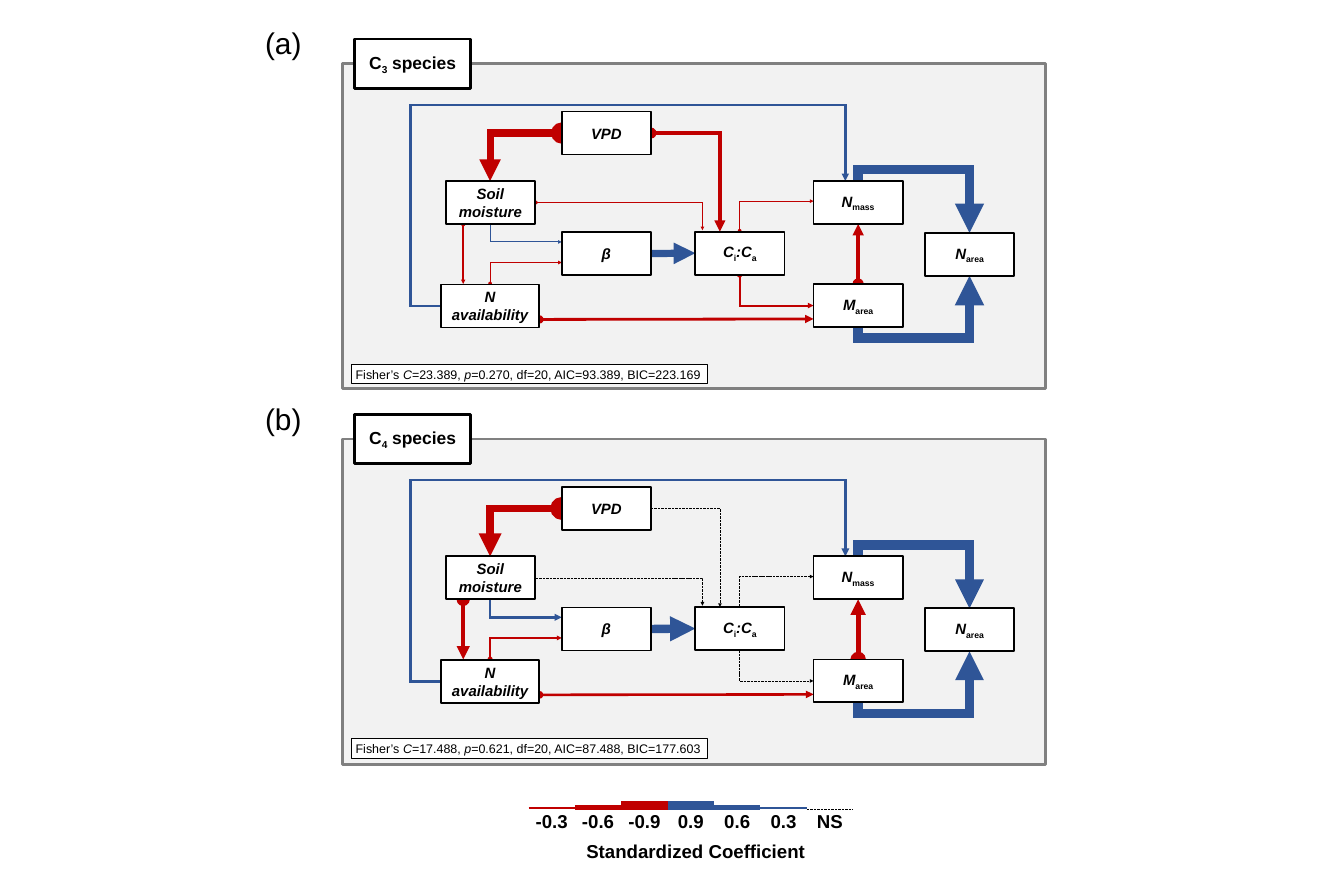
from pptx import Presentation
from pptx import util as u
from pptx.dml.color import RGBColor
from pptx.enum import dml, shapes, text
from pptx.oxml.ns import qn
from lxml import etree

BLACK = RGBColor(0x00, 0x00, 0x00)
WHITE = RGBColor(0xFF, 0xFF, 0xFF)
PANEL = RGBColor(0xF2, 0xF2, 0xF2)
GRAY = RGBColor(0x80, 0x80, 0x80)
RED = RGBColor(0xC0, 0x00, 0x00)
BLUE = RGBColor(0x2F, 0x55, 0x97)
PX = 9144  # 100 px to the inch
TOP, LEFT, BOTTOM, RIGHT = range(4)


class CausalDiagram:
    """Holds the style and the current slide."""

    font = "Arial"

    def __init__(self, width, height):
        self.deck = Presentation()
        self.deck.slide_width, self.deck.slide_height = width * PX, height * PX
        self.page = self.deck.slides.add_slide(self.deck.slide_layouts[6])

    def add_words(self, shape, spans, size, align, **frame_format):
        """Each span is (words, flags): b bold, i italic, _ subscript."""
        frame = shape.text_frame
        for name, value in frame_format.items():
            setattr(frame, name, value)
        para = frame.paragraphs[0]
        para.alignment = align
        for words, flags in spans:
            span = para.add_run()
            span.text = words
            font_format = {"name": self.font, "size": u.Pt(size),
                           "bold": "b" in flags, "italic": "i" in flags}
            for name, value in font_format.items():
                setattr(span.font, name, value)
            span.font.color.rgb = BLACK
            if "_" in flags:
                span.font._element.set("baseline", "-25000")

    def box(self, place, weight, spans=(), size=24, fill=WHITE, line=BLACK,
            align=text.PP_ALIGN.CENTER, wrap=True):
        box = self.page.shapes.add_shape(
            shapes.MSO_SHAPE.RECTANGLE, *(v * PX for v in place))
        box.shadow.inherit = False
        box.fill.solid()
        box.fill.fore_color.rgb = fill
        box.line.color.rgb = line
        box.line.width = u.Pt(weight)
        self.add_words(box, spans, size, align, word_wrap=wrap,
                       vertical_anchor=text.MSO_ANCHOR.MIDDLE)
        return box

    def label(self, place, words, size, flags=""):
        label = self.page.shapes.add_textbox(*(v * PX for v in place))
        self.add_words(label, [(words, flags)], size, text.PP_ALIGN.CENTER,
                       word_wrap=False)

    def style_line(self, line, colour, weight, dashed, head, tail):
        line.line.color.rgb = colour
        line.line.width = u.Pt(weight)
        if dashed:
            line.line.dash_style = dml.MSO_LINE.LONG_DASH
        ln = line.line._get_or_add_ln()
        etree.SubElement(ln, qn("a:miter"), lim="800000")
        for tag, kind in (("a:headEnd", head), ("a:tailEnd", tail)):
            if kind:
                etree.SubElement(ln, qn(tag), type=kind)
        etree.SubElement(line._element.spPr, qn("a:effectLst"))

    def straight(self, begin, end, colour, weight, dashed=False, head=None,
                 tail=None, joins=None):
        line = self.page.shapes.add_connector(
            shapes.MSO_CONNECTOR.STRAIGHT, *(v * PX for v in begin + end))
        if joins:
            line.begin_connect(*joins[0])
            line.end_connect(*joins[1])
        self.style_line(line, colour, weight, dashed, head, tail)

    def elbow(self, begin, end, upright, bends, *style):
        """An upright elbow leaves its begin point vertically, to the right."""
        (x1, y1), (x2, y2) = begin, end
        line = self.page.shapes.add_connector(
            shapes.MSO_CONNECTOR.ELBOW, *(v * PX for v in begin + end))
        if upright:
            wide, high = abs(y2 - y1), abs(x2 - x1)
            place = {"left": (x1 + x2 - wide) * PX // 2,
                     "top": (y1 + y2 - high) * PX // 2,
                     "width": wide * PX, "height": high * PX}
            for name, value in place.items():
                setattr(line, name, value)
            falls = y2 > y1
            turn = {"rot": str((270 if falls else 90) * 60000),
                    "flipH": "1", "flipV": "0" if falls else "1"}
            for name, value in turn.items():
                line._element.spPr.xfrm.set(name, value)
        shape = line._element.spPr.find(qn("a:prstGeom"))
        shape.set("prst", f"bentConnector{len(bends) + 2}")
        guides = shape.find(qn("a:avLst"))
        for number, bend in enumerate(bends, 1):
            etree.SubElement(guides, qn("a:gd"), name=f"adj{number}",
                             fmla=f"val {round(bend * 100000)}")
        self.style_line(line, *style)

    def raise_up(self, box):
        self.page.shapes._spTree.append(box._element)


# Boxes of one panel: left, top, width, spans
BOXES = {
    "vpd": (1254, 249, 199, [("VPD", "bi")]),
    "soil": (995, 404, 199, [("Soil moisture", "bi")]),
    "nitrogen": (984, 635, 220, [("N availability", "bi")]),
    "beta": (1254, 518, 199, [("β", "bi")]),
    "ratio": (1552, 517, 199, [("C", "bi"), ("i", "b_"), (":C", "bi"), ("a", "b_")]),
    "n_mass": (1816, 404, 199, [("N", "bi"), ("mass", "b_")]),
    "m_area": (1816, 634, 199, [("M", "bi"), ("area", "b_")]),
    "n_area": (2065, 520, 199, [("Ν", "bi"), ("area", "b_")]),
}

# Elbows: begin, end, upright, bends, colour, weights in (a) and (b); 0 is NS
ELBOWS = [
    ((1094, 500), (1254, 540), True, (), BLUE, (1.88, 3.88)),
    ((1094, 633), (1254, 586), True, (), RED, (1.83, 2.61)),
    ((1651, 515), (1816, 449), True, (), RED, (1.84, 0)),
    ((1651, 613), (1816, 682), True, (), RED, (3.12, 0)),
    ((1915, 404), (2164, 520), True, (-0.22,), BLUE, (15.75, 15.47)),
    ((1915, 730), (2164, 616), True, (-0.22,), BLUE, (15.83, 15.4)),
    ((1254, 297), (1094, 404), False, (), RED, (11.5, 12.38)),
    ((1050, 683), (1887, 404), False, (-0.16, 1.61), BLUE, (3.92, 4.25)),
    ((1196, 452), (1568, 514), False, (), RED, (1.21, 0)),
    ((1453, 297), (1607, 517), False, (), RED, (5.96, 0)),
]

# Straight arrows: begin, end, colour, weights, joined sides
ARROWS = [
    ((1453, 566), (1552, 565), BLUE, (11.58, 13.48), (("beta", RIGHT), ("ratio", LEFT))),
    ((1915, 634), (1915, 500), RED, (6.07, 8.32), (("m_area", TOP), ("n_mass", BOTTOM))),
    ((1204, 713), (1816, 712), RED, (4.5, 4.16), ()),
    ((1034, 500), (1034, 634), RED, (2.42, 7.15), ()),
]

# Panels: letter, subscript, C, p, rest of the fit line, its top
PANELS = [
    ("(a)", "3", "23.389", "0.270", "AIC=93.389, BIC=223.169", 813),
    ("(b)", "4", "17.488", "0.621", "AIC=87.488, BIC=177.603", 1648),
]
PANEL_STEP = 838
LEGEND = [("-0.3", RED, 3.75), ("-0.6", RED, 7.5), ("-0.9", RED, 13),
          ("0.9", BLUE, 13), ("0.6", BLUE, 7.5), ("0.3", BLUE, 3.75),
          ("NS", BLACK, 0.5)]


def link_style(colour, weight):
    if not weight:
        return BLACK, 0.5, True, None, "triangle"
    return colour, weight, False, "oval" if colour == RED else None, "triangle"


def draw_panel(diagram, index):
    letter, number, c_value, p_value, criteria, fit_top = PANELS[index]
    down = index * PANEL_STEP

    def shifted(point):
        return point[0], point[1] + down

    # Frame, heading and fit line
    diagram.box((764, 142 + down, 1570, 726), 4.5, fill=PANEL, line=GRAY)
    diagram.label((581, 51 + down, 103, 91), letter, 48)
    diagram.box((792, 87 + down, 258, 110), 4.5,
                [("C", "b"), (number, "b_"), (" species", "b")], size=28)
    diagram.box((784, fit_top, 795, 44), 1.5,
                [("Fisher’s ", ""), ("C", "i"), (f"={c_value}, ", ""), ("p", "i"),
                 (f"={p_value}, df=20, {criteria}", "")],
                size=20, align=text.PP_ALIGN.LEFT, wrap=False)

    # Variables and links; the boxes cover the line ends
    boxes = {name: diagram.box((left, top + down, width, 96), 3, spans)
             for name, (left, top, width, spans) in BOXES.items()}
    for begin, end, upright, bends, colour, weights in ELBOWS:
        diagram.elbow(shifted(begin), shifted(end), upright, bends,
                      *link_style(colour, weights[index]))
    for begin, end, colour, weights, sides in ARROWS:
        diagram.straight(shifted(begin), shifted(end),
                         *link_style(colour, weights[index]),
                         joins=[(boxes[name], side) for name, side in sides])
    for box in boxes.values():
        diagram.raise_up(box)


def draw_legend(diagram):
    base, edges = 1807, [1180 + 207 * i // 2 for i in range(len(LEGEND) + 1)]
    for (words, colour, weight), left, right in zip(LEGEND, edges, edges[1:]):
        y = base - round(weight / 72 * 100 / 2)
        diagram.straight((left, y), (right, y), colour, weight, words == "NS")
        diagram.label((left, 1803, right - left, 61), words, 30, "b")
    diagram.label((1296, 1869, 514, 61), "Standardized Coefficient", 30, "b")


def main():
    diagram = CausalDiagram(3000, 2000)
    for index in range(len(PANELS)):
        draw_panel(diagram, index)
    draw_legend(diagram)
    diagram.deck.save("out.pptx")


if __name__ == "__main__":
    main()
